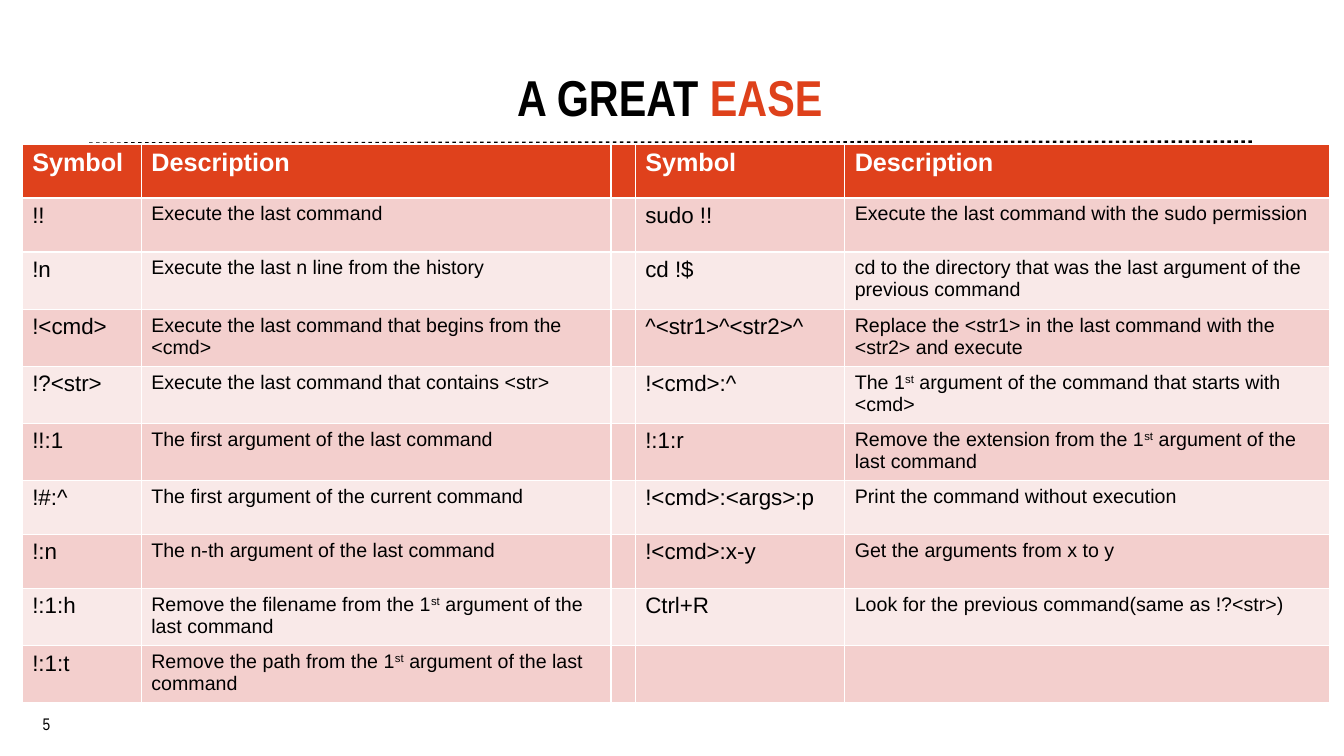
"""Build a slide that lists shell history shortcuts in a two-part table."""
from dataclasses import dataclass
from typing import Optional

from lxml.etree import SubElement
from pptx import Presentation
from pptx.dml.color import RGBColor
from pptx.enum.dml import MSO_LINE
from pptx.enum.shapes import MSO_CONNECTOR
from pptx.enum.text import MSO_ANCHOR, PP_ALIGN
from pptx.oxml.ns import qn
from pptx.util import Cm, Pt

BLACK = RGBColor(0x00, 0x00, 0x00)
WHITE = RGBColor(0xFF, 0xFF, 0xFF)
GRAY = RGBColor(0xA6, 0xAA, 0xA9)
ORANGE = RGBColor(0xDE, 0x41, 0x1B)
HEADER_FILL = RGBColor(0xDF, 0x41, 0x1C)
BAND_FILLS = (RGBColor(0xF9, 0xE9, 0xE8), RGBColor(0xF3, 0xCF, 0xCD))

HEADER_FORMAT = {"name": "Arial", "size": Pt(18), "bold": True}
SYMBOL_FORMAT = {"name": "Arial", "size": Pt(16), "bold": False}
DESCRIPTION_FORMAT = {"name": "Arial", "size": Pt(14), "bold": False}
TITLE_FORMAT = {"name": "Arial Narrow", "size": Pt(36), "bold": True}
NUMBER_FORMAT = {"name": "Arial Narrow", "size": Pt(12), "bold": False}

COLUMN_WIDTHS = (3.0, 11.84, 0.58, 5.28, 12.22)
ROW_HEIGHT = 1.36
ORDINAL = "1st"


@dataclass
class Rule:
    start: tuple[float, float]
    end: tuple[float, float]
    color: RGBColor
    width: float
    dash: Optional[MSO_LINE] = None


@dataclass
class Label:
    box: tuple[float, float, float, float]
    margins: dict
    anchor: MSO_ANCHOR
    line_spacing: float
    runs: tuple
    text_format: dict


@dataclass
class Shortcut:
    symbol: str = ""
    description: str = ""


RULES = (
    Rule((0.94, 17.42), (32.97, 17.6), GRAY, 0.25),
    Rule((31.55, 3.58), (2.24, 3.63), BLACK, 2.5, MSO_LINE.ROUND_DOT),
)

LABELS = (
    Label((0.56, 17.98, 1.22, 0.51), {"left": 0, "top": 0, "right": 0, "bottom": 0},
          MSO_ANCHOR.TOP, 1.0, (("5", BLACK),), NUMBER_FORMAT),
    Label((3.35, 0.43, 27.31, 2.84), {"left": 0, "top": 0.13, "right": 0.25, "bottom": 0.13},
          MSO_ANCHOR.BOTTOM, 0.7, (("A GREAT ", BLACK), ("EASE", ORANGE)), TITLE_FORMAT),
)

LEFT_SHORTCUTS = (
    Shortcut("!!", "Execute the last command"),
    Shortcut("!n", "Execute the last n line from the history"),
    Shortcut("!<cmd>", "Execute the last command that begins from the <cmd>"),
    Shortcut("!?<str>", "Execute the last command that contains <str>"),
    Shortcut("!!:1", "The first argument of the last command"),
    Shortcut("!#:^", "The first argument of the current command"),
    Shortcut("!:n", "The n-th argument of the last command"),
    Shortcut("!:1:h", "Remove the filename from the 1st argument of the last command"),
    Shortcut("!:1:t", "Remove the path from the 1st argument of the last command"),
)

RIGHT_SHORTCUTS = (
    Shortcut("sudo !!", "Execute the last command with the sudo permission"),
    Shortcut("cd !$", "cd to the directory that was the last argument of the previous command"),
    Shortcut("^<str1>^<str2>^", "Replace the <str1> in the last command with the <str2> and execute"),
    Shortcut("!<cmd>:^", "The 1st argument of the command that starts with <cmd>"),
    Shortcut("!:1:r", "Remove the extension from the 1st argument of the last command"),
    Shortcut("!<cmd>:<args>:p", "Print the command without execution"),
    Shortcut("!<cmd>:x-y", "Get the arguments from x to y"),
    Shortcut("Ctrl+R", "Look for the previous command(same as !?<str>)"),
    Shortcut(),
)


def add_run(paragraph, text: str, color: RGBColor, text_format: dict):
    run = paragraph.add_run()
    run.text = text
    for attribute, value in text_format.items():
        setattr(run.font, attribute, value)
    run.font.color.rgb = color
    return run


def add_rule(slide, rule: Rule) -> None:
    points = [Cm(value) for value in (*rule.start, *rule.end)]
    connector = slide.shapes.add_connector(MSO_CONNECTOR.STRAIGHT, *points)
    connector.line.color.rgb = rule.color
    connector.line.width = Pt(rule.width)
    if rule.dash is not None:
        connector.line.dash_style = rule.dash
    SubElement(connector._element.spPr, qn("a:effectLst"))


def add_label(slide, label: Label) -> None:
    shape = slide.shapes.add_textbox(*(Cm(value) for value in label.box))
    frame = shape.text_frame
    frame.word_wrap = True
    frame.vertical_anchor = label.anchor
    for side, margin in label.margins.items():
        setattr(frame, f"margin_{side}", Cm(margin))
    paragraph = frame.paragraphs[0]
    paragraph.alignment = PP_ALIGN.CENTER
    paragraph.line_spacing = label.line_spacing
    for text, color in label.runs:
        add_run(paragraph, text, color, label.text_format)


def fill_cell(cell, text: str, fill: RGBColor, color: RGBColor, text_format: dict) -> None:
    cell.fill.solid()
    cell.fill.fore_color.rgb = fill
    paragraph = cell.text_frame.paragraphs[0]
    before, ordinal, after = text.partition(ORDINAL)
    if ordinal:
        add_run(paragraph, before + ordinal[0], color, text_format)
        suffix = add_run(paragraph, ordinal[1:], color, text_format)
        suffix._r.get_or_add_rPr().set("baseline", "30000")
        add_run(paragraph, after, color, text_format)
    elif text:
        add_run(paragraph, text, color, text_format)


def add_shortcut_table(slide) -> None:
    row_count = len(LEFT_SHORTCUTS) + 1
    shape = slide.shapes.add_table(
        row_count, len(COLUMN_WIDTHS), Cm(0.56), Cm(3.63),
        Cm(sum(COLUMN_WIDTHS)), Cm(ROW_HEIGHT * row_count))
    table = shape.table
    for column, width in zip(table.columns, COLUMN_WIDTHS):
        column.width = Cm(width)
    for row in table.rows:
        row.height = Cm(ROW_HEIGHT)

    headings = ("Symbol", "Description", "", "Symbol", "Description")
    for cell, heading in zip(table.rows[0].cells, headings):
        fill_cell(cell, heading, HEADER_FILL, WHITE, HEADER_FORMAT)

    formats = (SYMBOL_FORMAT, DESCRIPTION_FORMAT, SYMBOL_FORMAT, SYMBOL_FORMAT, DESCRIPTION_FORMAT)
    for index, (left, right) in enumerate(zip(LEFT_SHORTCUTS, RIGHT_SHORTCUTS), start=1):
        texts = (left.symbol, left.description, "", right.symbol, right.description)
        for cell, text, text_format in zip(table.rows[index].cells, texts, formats):
            fill_cell(cell, text, BAND_FILLS[index % 2], BLACK, text_format)


def main() -> None:
    presentation = Presentation()
    presentation.slide_width = Cm(33.87)
    presentation.slide_height = Cm(19.05)
    slide = presentation.slides.add_slide(presentation.slide_layouts[6])
    for rule in RULES:
        add_rule(slide, rule)
    for label in LABELS:
        add_label(slide, label)
    add_shortcut_table(slide)
    presentation.save("out.pptx")


if __name__ == "__main__":
    main()
